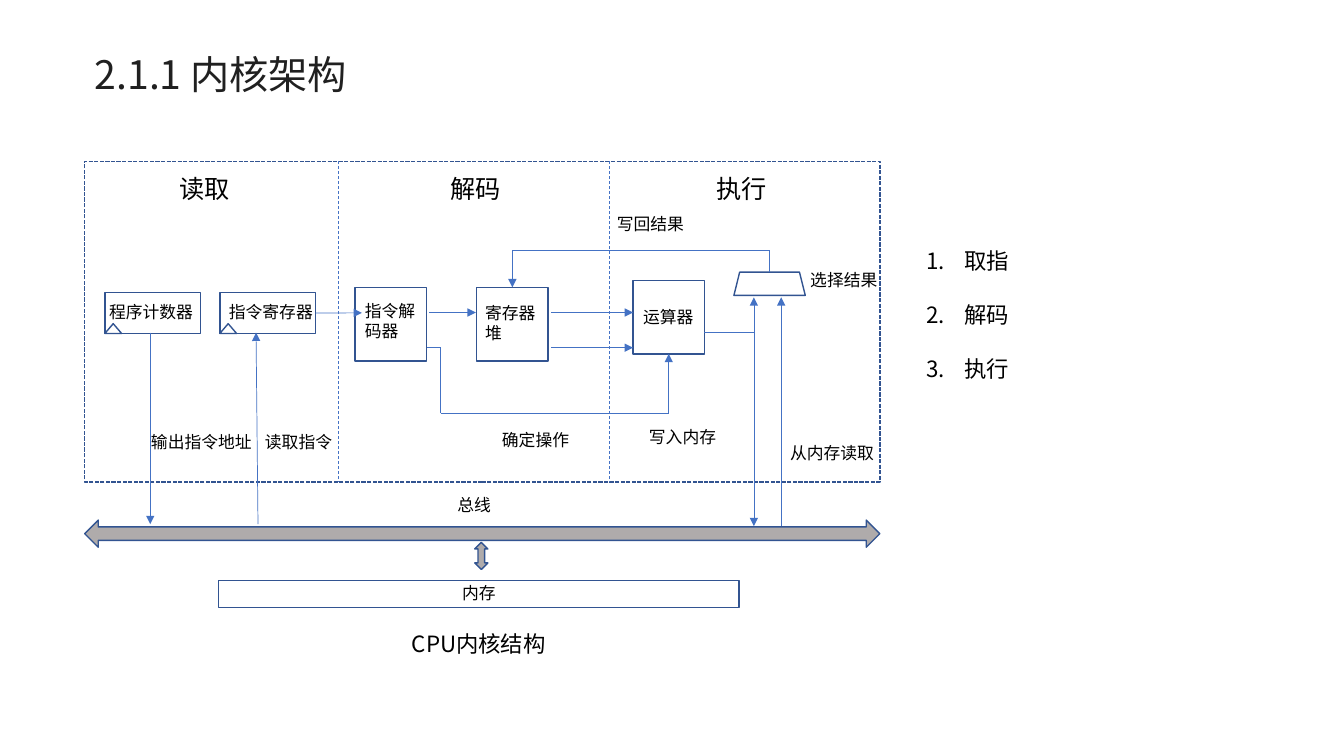
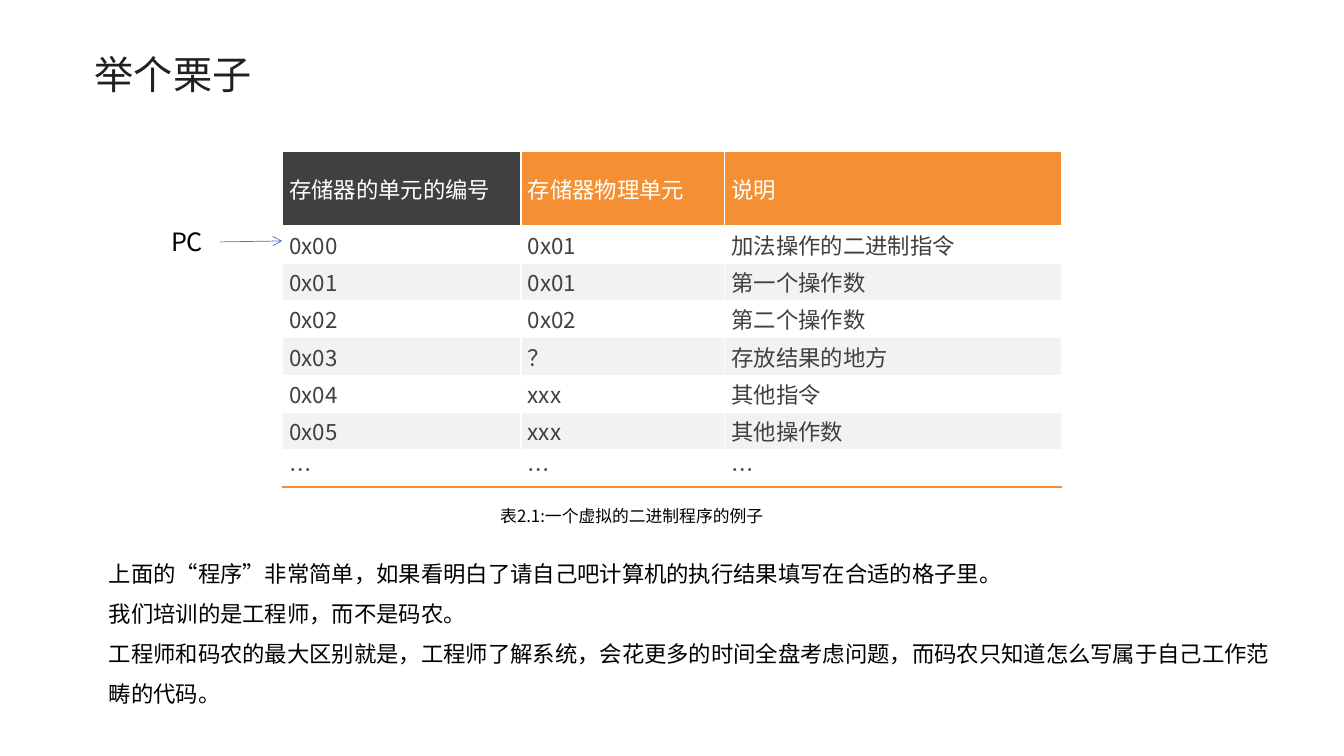
from dataclasses import dataclass

from lxml import etree
from pptx import Presentation
from pptx.dml.color import RGBColor
from pptx.enum.dml import MSO_LINE
from pptx.enum.shapes import MSO_CONNECTOR, MSO_SHAPE
from pptx.enum.text import MSO_ANCHOR, MSO_AUTO_SIZE, PP_ALIGN
from pptx.oxml.ns import qn
from pptx.util import Pt

LEFT, CENTER = PP_ALIGN.LEFT, PP_ALIGN.CENTER
TOP, MIDDLE = MSO_ANCHOR.TOP, MSO_ANCHOR.MIDDLE
RECT, TRIANGLE, TRAPEZOID = MSO_SHAPE.RECTANGLE, MSO_SHAPE.ISOSCELES_TRIANGLE, MSO_SHAPE.TRAPEZOID
BUS_ARROW, MEMORY_ARROW = MSO_SHAPE.LEFT_RIGHT_ARROW, MSO_SHAPE.UP_DOWN_ARROW
SYS_DASH, DASH = MSO_LINE.SQUARE_DOT, MSO_LINE.DASH
STRAIGHT = MSO_CONNECTOR.STRAIGHT
SITE_TOP, SITE_BOTTOM, SITE_RIGHT = 0, 2, 3
TITLE_AND_CONTENT = 1


@dataclass(frozen=True)
class Theme:
    font: str = "Noto Sans CJK SC"
    title: str = "202020"
    text: str = "000000"
    cell_text: str = "404040"
    white: str = "FFFFFF"
    outline: str = "325491"
    wire: str = "4472C4"
    bus: str = "AFABAB"
    accent: str = "F58F33"
    dark: str = "404040"
    band: str = "F2F2F2"
    title_size: int = 28
    heading_size: int = 18
    body_size: int = 16
    label_size: int = 12
    wire_width: float = 0.5
    outline_width: float = 1
    border_width: float = 1.5


THEME = Theme()


# Text
def set_bullet(paragraph, tag, **attributes):
    properties = paragraph._p.get_or_add_pPr()
    bullet = etree.Element(qn(tag), **attributes)
    properties.get_or_add_defRPr().addprevious(bullet)


def write(frame, lines, size, color=THEME.text, align=LEFT, spacing=1.0):
    """Fill a text frame with one paragraph per line."""
    frame.text = "\n".join(lines)
    for paragraph in frame.paragraphs:
        paragraph.alignment = align
        paragraph.line_spacing = spacing
        paragraph.space_before = Pt(0)
        font = paragraph.font
        font.size, font.name = Pt(size), THEME.font
        font.color.rgb = RGBColor.from_string(color)
        defaults = paragraph._p.get_or_add_pPr().get_or_add_defRPr()
        etree.SubElement(defaults, qn("a:ea"), typeface=THEME.font)


def place(shape, left, top, width, height):
    shape.left, shape.top = Pt(left), Pt(top)
    shape.width, shape.height = Pt(width), Pt(height)


def add_label(slide, text, left, top, width=102, height=21.5, size=THEME.label_size, align=LEFT):
    frame = slide.shapes.add_textbox(Pt(left), Pt(top), Pt(width), Pt(height)).text_frame
    frame.word_wrap = True
    write(frame, [text], size, align=align)


def fill_placeholder(placeholder, box, lines, size, color=THEME.text, spacing=1.0, anchor=TOP):
    place(placeholder, *box)
    frame = placeholder.text_frame
    frame.word_wrap, frame.auto_size = True, MSO_AUTO_SIZE.NONE
    frame.vertical_anchor = anchor
    write(frame, lines, size, color, spacing=spacing)
    return frame.paragraphs


def add_titled_slide(deck, title):
    slide = deck.slides.add_slide(deck.slide_layouts[TITLE_AND_CONTENT])
    fill_placeholder(slide.shapes.title, (60.5, 27.5, 468.5, 54), [title],
                     THEME.title_size, THEME.title, 0.9, MIDDLE)
    return slide


# Shapes and wires
def add_block(slide, preset, left, top, width, height, fill=None):
    block = slide.shapes.add_shape(preset, Pt(left), Pt(top), Pt(width), Pt(height))
    block.shadow.inherit = False
    if fill:
        block.fill.solid()
        block.fill.fore_color.rgb = RGBColor.from_string(fill)
    else:
        block.fill.background()
    block.line.color.rgb = RGBColor.from_string(THEME.outline)
    block.line.width = Pt(THEME.outline_width)
    return block


def caption_block(block, text, inset_left, inset_top, align=LEFT):
    frame = block.text_frame
    frame.word_wrap, frame.vertical_anchor = True, TOP
    frame.margin_left, frame.margin_top = Pt(inset_left), Pt(inset_top)
    frame.margin_right = frame.margin_bottom = 0
    write(frame, [text], THEME.label_size, align=align)


def add_wire(slide, start, end, head=None, tail=None, dash=None):
    wire = slide.shapes.add_connector(STRAIGHT, *(Pt(v) for v in (*start, *end)))
    wire.line.color.rgb = RGBColor.from_string(THEME.wire)
    wire.line.width = Pt(THEME.wire_width)
    if dash:
        wire.line.dash_style = dash
    line = wire.line._get_or_add_ln()
    for tag, kind in (("a:headEnd", head), ("a:tailEnd", tail)):
        if kind:
            etree.SubElement(line, qn(tag), type=kind)
    etree.SubElement(wire._element.spPr, qn("a:effectLst"))
    return wire


def add_route(slide, points, source=None, target=None):
    """Chain straight wires; the last one carries the arrowhead."""
    last = len(points) - 2
    wires = [add_wire(slide, start, end, tail="triangle" if i == last else None)
             for i, (start, end) in enumerate(zip(points, points[1:]))]
    if source:
        wires[0].begin_connect(*source)
    if target:
        wires[-1].end_connect(*target)


# Slide 1 regions
def draw_core_diagram(slide, x, y, width, height):
    def at(*points):
        return [(x + dx, y + dy) for dx, dy in points]

    # Stage frame, dividers and headings
    frame = add_block(slide, RECT, x, y, width, height)
    frame.line.dash_style = SYS_DASH
    for divider in (181, 374.5):
        add_wire(slide, *at((divider, 0), (divider, height)), dash=DASH)
    for stage, left in (("读取", 60.5), ("解码", 254), ("执行", 444)):
        add_label(slide, stage, x + left, y + 5, 140, 29.5, THEME.heading_size)

    # Clocked registers
    registers = []
    for name, left, inset in (("程序计数器", 14.4, 3), ("指令寄存器", 96.5, 6.5)):
        register = add_block(slide, RECT, x + left, y + 93.6, 68.5, 29.5)
        caption_block(register, name, inset, 7)
        add_block(slide, TRIANGLE, x + left, y + 116, 12, 7)
        registers.append(register)
    instruction_register = registers[1]

    # Processing units
    units = []
    for name, left, top, inset, inset_top in (
        ("指令解码器", 193, 90, 7.2, 9.5),
        ("寄存器堆", 280, 90, 6, 11),
        ("运算器", 391.7, 85, 7.2, 18.7),
    ):
        unit = add_block(slide, RECT, x + left, y + top, 51, 52.6)
        caption_block(unit, name, inset, inset_top)
        units.append(unit)
    _, register_file, alu = units
    selector = add_block(slide, TRAPEZOID, x + 463.7, y + 79.2, 51, 16.6)

    # Bus and memory
    add_block(slide, BUS_ARROW, x, y + 256.3, width, 19.4, THEME.bus)
    add_block(slide, MEMORY_ARROW, x + 278.6, y + 272.2, 9.4, 19.4, THEME.bus)
    memory = add_block(slide, RECT, x + 95.8, y + 299.5, 371.5, 19.4)
    caption_block(memory, "内存", 0, 1.5, CENTER)

    # Wires between parts
    for points in (
        ((46.8, 122.4), (46.8, 259.2)),
        ((123.8, 259.2), (122.4, 122.4)),
        ((246.2, 108), (279.4, 108)),
        ((333.4, 108), (391.7, 108)),
        ((333.4, 133.2), (391.7, 133.2)),
        ((497.5, 260.6), (497.5, 97.2)),
    ):
        add_route(slide, at(*points))
    add_route(slide, at((165, 108.3), (198, 108.3)), source=(instruction_register, SITE_RIGHT))
    add_route(slide, at((244.5, 133.2), (254.2, 133.2), (254.2, 180), (417.2, 180), (417.2, 137.6)),
              target=(alu, SITE_BOTTOM))
    add_route(slide, at((489.2, 79.2), (489.2, 63.4), (305.5, 63.4), (305.5, 90)),
              source=(selector, SITE_TOP), target=(register_file, SITE_TOP))
    add_wire(slide, *at((478, 97.2), (478, 260.6)), head="triangle", tail="triangle")
    add_wire(slide, *at((442.7, 122.4), (478, 122.4)))

    # Wire labels
    for text, left, top in (
        ("输出指令地址", 40.3, 189.4), ("读取指令", 121.7, 190), ("总线", 259.2, 234.7),
        ("确定操作", 291, 188), ("选择结果", 511.2, 74.2), ("从内存读取", 496.8, 197.3),
        ("写入内存", 396, 185.8), ("写回结果", 373, 33.8),
    ):
        add_label(slide, text, x + left, y + top)
    add_label(slide, "CPU内核结构", x + 108.7, y + 331.2, 345.6, 26.6, THEME.body_size, CENTER)


def fill_step_list(slide, box):
    steps = fill_placeholder(slide.placeholders[1], box, ["取指", "解码", "执行"],
                             THEME.body_size, spacing=2.0)
    for step in steps:
        properties = step._p.get_or_add_pPr()
        properties.set("marL", str(Pt(27)))
        properties.set("indent", str(Pt(-27)))
        set_bullet(step, "a:buFont", typeface=THEME.font)
        set_bullet(step, "a:buAutoNum", type="arabicPeriod")


def build_core_slide(deck):
    slide = add_titled_slide(deck, "2.1.1 内核架构")
    draw_core_diagram(slide, 60.5, 115.2, 568, 229)
    fill_step_list(slide, (654.5, 154, 89.5, 118))


# Slide 2 regions
PROGRAM = (
    ("存储器的单元的编号", "存储器物理单元", "说明"),
    ("0x00", "0x01", "加法操作的二进制指令"),
    ("0x01", "0x01", "第一个操作数"),
    ("0x02", "0x02", "第二个操作数"),
    ("0x03", "？", "存放结果的地方"),
    ("0x04", "xxx", "其他指令"),
    ("0x05", "xxx", "其他操作数"),
    ("…", "…", "…"),
)


def set_borders(cell, borders):
    """Borders come first in the cell properties, in the order L, R, T, B."""
    properties = cell._tc.get_or_add_tcPr()
    for position, (tag, color) in enumerate(borders):
        line = etree.Element(qn(tag), w=str(Pt(THEME.border_width)))
        fill = etree.SubElement(line, qn("a:solidFill"))
        etree.SubElement(fill, qn("a:srgbClr"), val=color)
        properties.insert(position, line)


def cell_fill(row, column):
    if row == 0:
        return THEME.accent if column else THEME.dark
    return THEME.white if row % 2 else THEME.band


def draw_program_table(slide, x, y, column_widths, header_height, row_height):
    rows, columns = len(PROGRAM), len(column_widths)
    height = header_height + row_height * (rows - 1)
    table = slide.shapes.add_table(rows, columns, Pt(x), Pt(y),
                                   Pt(sum(column_widths)), Pt(height)).table
    table.first_row = table.horz_banding = False
    for column, width in enumerate(column_widths):
        table.columns[column].width = Pt(width)
    for r, record in enumerate(PROGRAM):
        table.rows[r].height = Pt(row_height if r else header_height)
        for c, text in enumerate(record):
            cell = table.cell(r, c)
            cell.vertical_anchor = MIDDLE
            cell.margin_left = cell.margin_right = Pt(5)
            cell.margin_top = cell.margin_bottom = 0
            write(cell.text_frame, [text], THEME.body_size, THEME.cell_text if r else THEME.white)
            cell.fill.solid()
            cell.fill.fore_color.rgb = RGBColor.from_string(cell_fill(r, c))
            borders = [("a:lnL", THEME.white)] if c else []
            if c < columns - 1:
                borders.append(("a:lnR", THEME.white))
            if r == rows - 1:
                borders.append(("a:lnB", THEME.accent))
            set_borders(cell, borders)

    # Program counter pointing at the first record
    add_label(slide, "PC", x - 91.5, y + 50.4, 47, 29, THEME.heading_size, CENTER)
    add_wire(slide, (x - 44.6, y + 64.8), (x, y + 64.1), tail="arrow")
    # Caption
    add_label(slide, "表2.1:一个虚拟的二进制程序的例子", x + 49.7, y + 249.8, 400, align=CENTER)


def build_example_slide(deck):
    slide = add_titled_slide(deck, "举个栗子")
    draw_program_table(slide, 201.6, 108, (170.5, 145.5, 240.5), 53.3, 26.7)
    remarks = fill_placeholder(slide.placeholders[1], (70.5, 386.6, 854, 124), [
        "上面的“程序”非常简单，如果看明白了请自己吧计算机的执行结果填写在合适的格子里。",
        "我们培训的是工程师，而不是码农。",
        "工程师和码农的最大区别就是，工程师了解系统，会花更多的时间全盘考虑问题，"
        "而码农只知道怎么写属于自己工作范畴的代码。",
    ], THEME.body_size, spacing=1.5)
    for remark in remarks:
        properties = remark._p.get_or_add_pPr()
        properties.set("marL", "0")
        properties.set("indent", "0")
        set_bullet(remark, "a:buNone")


def main():
    deck = Presentation()
    deck.slide_width, deck.slide_height = Pt(960), Pt(540)
    build_core_slide(deck)
    build_example_slide(deck)
    deck.save("out.pptx")


if __name__ == "__main__":
    main()
